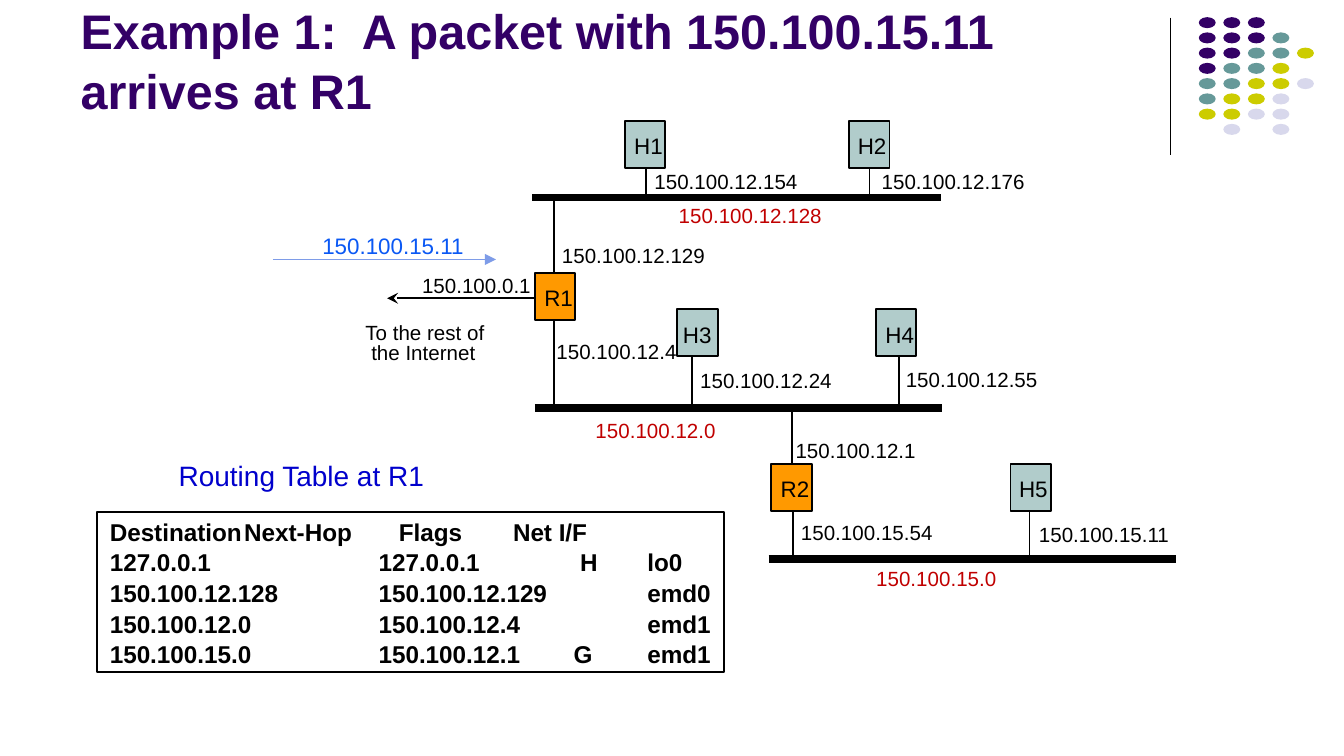
import dataclasses

import pptx
import pptx.dml.color
import pptx.enum.shapes
import pptx.enum.text
import pptx.oxml
import pptx.oxml.ns
import pptx.util

Pt = pptx.util.Pt
qn = pptx.oxml.ns.qn
SHAPE = pptx.enum.shapes.MSO_SHAPE
ANCHOR = pptx.enum.text.MSO_ANCHOR


@dataclasses.dataclass(frozen=True)
class Theme:
    font: str = "Arial"
    black: str = "000000"
    purple: str = "330066"
    teal: str = "669999"
    lime: str = "CCCC00"
    pale: str = "D8D8EC"
    orange: str = "FF9900"
    sage: str = "B1CCCB"
    red: str = "C00000"
    blue: str = "0A58F4"
    navy: str = "0000CC"
    sky: str = "7E9CE8"
    title: float = 26
    head: float = 15
    table: float = 13
    node: float = 12
    small: float = 11


T = Theme()

# Left and top of each box, its label, and the label's left inset
NODES = [
    ("R1", 286.6, 146.2, 5), ("H1", 334.8, 64.8, 5), ("H2", 455, 64.8, 4.6),
    ("H3", 362.9, 165.6, 3), ("H4", 469.4, 165.6, 5),
    ("R2", 413.3, 248.4, 5), ("H5", 541.4, 248.4, 4.6),
]

# Left, top, right, bottom
BUSES = [(285.1, 105.8, 504, 105.8), (286.6, 218.5, 504.7, 218.5),
         (411.8, 299.5, 630, 299.5)]
# Left, top, bottom
DROPS = [
    (296.8, 105.8, 146), (296.8, 171.4, 218.5), (346.3, 90.7, 106),
    (465.8, 90.7, 106), (370.8, 191.5, 218.5), (481.7, 191.5, 218.5),
    (424.1, 218.5, 248.2), (424.8, 273.6, 300), (551.5, 273.6, 299.5),
]

HOSTS = [
    ("150.100.0.1", 226.1, 146.2), ("150.100.12.176", 472.3, 90.7),
    ("150.100.12.154", 350.6, 90.7), ("150.100.12.24", 375.1, 197.3),
    ("150.100.12.55", 485.3, 196.6), ("150.100.12.1", 426.2, 234.7),
    ("150.100.15.54", 429.1, 278.6), ("150.100.15.11", 556.6, 279.4),
    ("150.100.12.129", 301, 130.3), ("150.100.12.4", 298.1, 181.4),
]
NETS = [("150.100.12.128", 363.6, 108.7), ("150.100.12.0", 319, 223.9),
        ("150.100.15.0", 469.4, 303.1)]

# Each routing row with its tab stops
ROUTES = [
    ("Destination\tNext-Hop\tFlags\tNet I/F", (72, 154.8, 216)),
    ("127.0.0.1\t127.0.0.1\tH\tlo0", (144, 252, 288)),
    ("150.100.12.128\t150.100.12.129\temd0", (144, 288)),
    ("150.100.12.0\t150.100.12.4\temd1", (144, 288)),
    ("150.100.15.0\t150.100.12.1\tG\temd1", (144, 248.4, 288)),
]

# P purple, T teal, L lime, G pale
DOTS = ["PPP", "PPPT", "PPTTL", "PTTL", "TTLLG", "TLLG", "LLGG", " G G"]


def rgb(code):
    return pptx.dml.color.RGBColor.from_string(code)


def write(frame, text, size=T.small, color=T.black, bold=False, inset=(0, 0, 0, 0),
          anchor=ANCHOR.TOP, wrap=True, space=None, stops=()):
    """Fill a text frame, one paragraph a line; stops holds tabs for each line."""
    frame.word_wrap = wrap
    frame.auto_size = pptx.enum.text.MSO_AUTO_SIZE.NONE
    frame.vertical_anchor = anchor
    (frame.margin_left, frame.margin_top,
     frame.margin_right, frame.margin_bottom) = map(Pt, inset)
    for i, line in enumerate(text.split("\n")):
        para = frame.paragraphs[0] if i == 0 else frame.add_paragraph()
        para.alignment = pptx.enum.text.PP_ALIGN.LEFT
        if space:
            para.line_spacing = space
        if stops:
            tabs = pptx.oxml.parse_xml(
                f'<a:tabLst {pptx.oxml.ns.nsdecls("a")}/>')
            for stop in stops[i]:
                tab = tabs.makeelement(qn("a:tab"), {"pos": str(Pt(stop)), "algn": "l"})
                tabs.append(tab)
            para._p.get_or_add_pPr().append(tabs)
        run = para.add_run()
        run.text = line
        run.font.name, run.font.size, run.font.bold = T.font, Pt(size), bold
        run.font.color.rgb = rgb(color)


def label(slide, text, x, y, wide=None, high=13, **form):
    wide = wide or 6.2 * len(text) - 9.9
    box = slide.shapes.add_textbox(Pt(x), Pt(y), Pt(wide), Pt(high))
    write(box.text_frame, text, wrap=False, **form)


def block(slide, kind, x, y, wide, high, fill=None, edge=None):
    shape = slide.shapes.add_shape(kind, Pt(x), Pt(y), Pt(wide), Pt(high))
    shape.shadow.inherit = False
    if fill:
        shape.fill.solid()
        shape.fill.fore_color.rgb = rgb(fill)
    else:
        shape.fill.background()
    if edge:
        shape.line.color.rgb = rgb(edge)
        shape.line.width = Pt(1)
    else:
        shape.line.fill.background()
    return shape


def line(slide, x1, y1, x2, y2, width=1, color=T.black, head=None):
    link = slide.shapes.add_connector(
        pptx.enum.shapes.MSO_CONNECTOR.STRAIGHT, Pt(x1), Pt(y1), Pt(x2), Pt(y2))
    link.line.width = Pt(width)
    link.line.color.rgb = rgb(color)
    props = link.element.spPr
    if head:
        edge = props.find(qn("a:ln"))
        edge.append(edge.makeelement(qn("a:tailEnd"), {"type": head}))
    props.append(props.makeelement(qn("a:effectLst"), {}))


def decor(slide):
    line(slide, 627.1, 9.4, 627.1, 82.8, width=0.75)
    tints = {"P": T.purple, "T": T.teal, "L": T.lime, "G": T.pale}
    for row, marks in enumerate(DOTS):
        for col, mark in enumerate(marks):
            if mark in tints:
                block(slide, SHAPE.OVAL, 642.2 + 13.15 * col, 9.2 + 8.17 * row,
                      9.1, 5.9, fill=tints[mark])


def title(slide, text):
    head = slide.shapes.title
    head.left, head.top, head.width, head.height = map(Pt, (36, 7.2, 594, 60.5))
    write(head.text_frame, text, size=T.title, color=T.purple, bold=True,
          inset=(7.2, 3.6, 7.2, 3.6), anchor=ANCHOR.BOTTOM, space=1.04)


def network(slide):
    for bus in BUSES:
        line(slide, *bus, width=4.14)
    for x, top, base in DROPS:
        line(slide, x, top, x, base)
    for name, x, y, inset in NODES:
        fill = T.orange if name.startswith("R") else T.sage
        node = block(slide, SHAPE.RECTANGLE, x, y, 21.6, 25.2, fill, T.black)
        write(node.text_frame, name, size=T.node, inset=(inset, 6.2, 0, 0))
    for host in HOSTS:
        label(slide, *host)
    for net in NETS:
        label(slide, *net, color=T.red)
    # Way out to the Internet
    line(slide, 286.6, 159.8, 207.4, 159.8, head="stealth")
    label(slide, "To the rest of", 195.8, 171.4, wide=64.8)
    label(slide, "the Internet", 198.9, 182.2, wide=56.2)


def packet(slide):
    line(slide, 146.2, 139, 265.7, 139, color=T.sky, head="triangle")
    label(slide, "150.100.15.11", 165.6, 121, wide=90.7, high=21.6,
          size=T.node, color=T.blue, inset=(7.2, 3.6, 7.2, 3.6))


def routes(slide):
    label(slide, "Routing Table at R1", 88.6, 241.9, wide=147.6, high=25.2,
          size=T.head, color=T.navy, inset=(7.2, 3.6, 7.2, 3.6))
    box = block(slide, SHAPE.RECTANGLE, 51.8, 274.3, 336.2, 85.7, edge=T.black)
    rows, stops = zip(*ROUTES)
    write(box.text_frame, "\n".join(rows), size=T.table, bold=True, space=1.05,
          inset=(7.2, 3.6, 0, 3.6), anchor=ANCHOR.MIDDLE, stops=stops)


def main():
    deck = pptx.Presentation()
    deck.slide_width, deck.slide_height = Pt(720), Pt(405)
    slide = deck.slides.add_slide(deck.slide_layouts[5])
    decor(slide)
    title(slide, "Example 1:  A packet with 150.100.15.11 arrives at R1")
    network(slide)
    packet(slide)
    routes(slide)
    deck.save("out.pptx")


if __name__ == "__main__":
    main()
